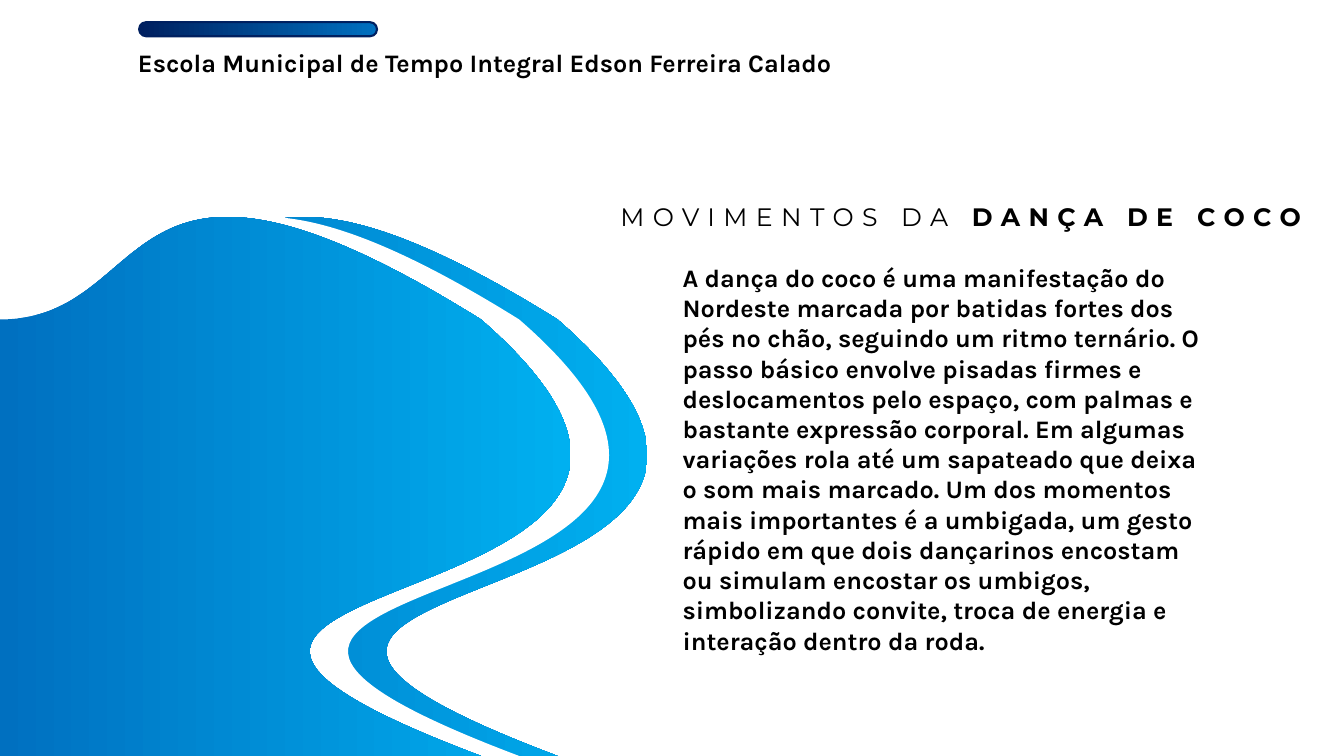
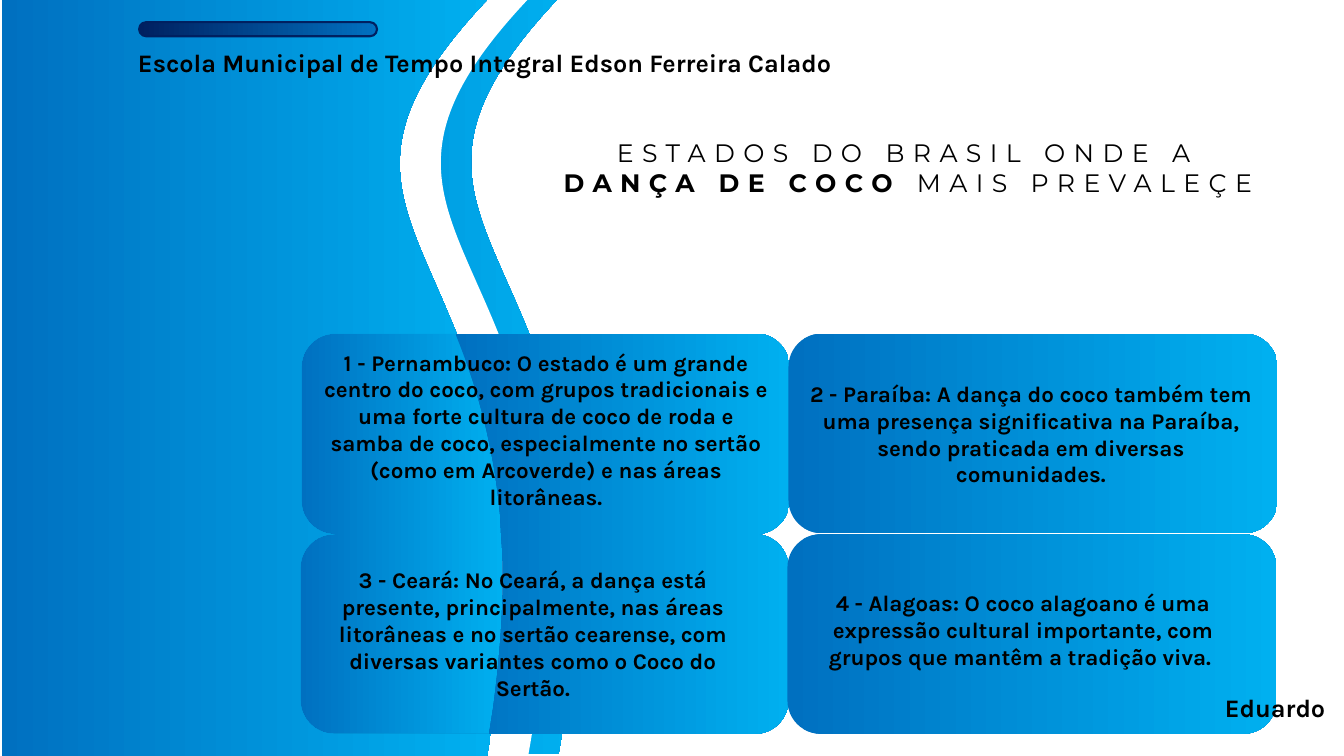
from lxml import etree
from pptx import Presentation
from pptx.dml.color import RGBColor
from pptx.enum.shapes import MSO_SHAPE
from pptx.enum.text import MSO_ANCHOR, MSO_AUTO_SIZE, PP_ALIGN
from pptx.oxml.ns import qn
from pptx.util import Emu, Pt

PX = 9144
W, H = 1333, 750
ROUND_RECT = MSO_SHAPE.ROUNDED_RECTANGLE
LEFT, CENTER = PP_ALIGN.LEFT, PP_ALIGN.CENTER
TOP, NO_FIT = MSO_ANCHOR.TOP, MSO_AUTO_SIZE.NONE

NAVY, BLUE, SKY = "002060", "0070C0", "00B0F0"
WHITE, BLACK = "FFFFFF", "000000"
OCEAN = (BLUE, SKY)

BODY = {"name": "Karla", "size": Pt(18), "bold": True}
CARD = {**BODY, "size": Pt(16)}
TITLE = {"name": "Montserrat", "size": Pt(18), "bold": False}
STRONG = {**TITLE, "bold": True}
SPACING = "600"

HILL = [[(0, 101)],
        [(159, 101), (110, -128), (477, 101)],
        [(837, 414), (-45, 337), (477, 534)],
        [(0, 534)]]
STREAM = [[(0, 0)], [(482, 0)], [(247, 249), (574, 237), (482, 750)], [(0, 750)]]
SHORE = [[(155, 0)], [(155, 1)],
         [(174, 48), (192, 105), (199, 180)],
         [(200, 199)], [(201, 214)],
         [(203, 260), (200, 312), (192, 372)],
         [(188, 397)]]

SCHOOL = "Escola Municipal de Tempo Integral Edson Ferreira Calado"
MOVES = (
    "A dança do coco é uma manifestação do Nordeste marcada por batidas fortes "
    "dos pés no chão, seguindo um ritmo ternário. O passo básico envolve pisadas "
    "firmes e deslocamentos pelo espaço, com palmas e bastante expressão corporal. "
    "Em algumas variações rola até um sapateado que deixa o som mais marcado. Um "
    "dos momentos mais importantes é a umbigada, um gesto rápido em que dois "
    "dançarinos encostam ou simulam encostar os umbigos, simbolizando convite, "
    "troca de energia e interação dentro da roda."
)
STATES = [
    ((14, 10, 461, 199),
     "1 - Pernambuco: O estado é um grande centro do coco, com grupos tradicionais "
     "e uma forte cultura de coco de roda e samba de coco, especialmente no sertão "
     "(como em Arcoverde) e nas áreas litorâneas."),
    ((1, 226, 461, 172),
     "3 - Ceará: No Ceará, a dança está presente, principalmente, nas áreas "
     "litorâneas e no sertão cearense, com diversas variantes como o Coco do Sertão."),
    ((495, 41, 461, 118),
     "2 - Paraíba: A dança do coco também tem uma presença significativa na "
     "Paraíba, sendo praticada em diversas comunidades."),
    ((487, 249, 461, 91),
     "4 - Alagoas: O coco alagoano é uma expressão cultural importante, com grupos "
     "que mantêm a tradição viva. "),
]


def px(n):
    return Emu(n * PX)


def rgb(color):
    return RGBColor.from_string(color)


def paint(sp, fill, line=None):
    sp.shadow.inherit = False
    if isinstance(fill, tuple):
        sp.fill.gradient()
        sp.fill.gradient_angle = 0
        for stop, color in zip(sp.fill.gradient_stops, fill):
            stop.color.rgb = rgb(color)
    else:
        sp.fill.solid()
        sp.fill.fore_color.rgb = rgb(fill)
    if line:
        sp.line.color.rgb = rgb(line)
        sp.line.width = Pt(1.5)
    else:
        sp.line.fill.background()


def round_rect(s, box, fill, line=None):
    sp = s.shapes.add_shape(ROUND_RECT, *map(px, box))
    paint(sp, fill, line)
    return sp


def outline(s, box, segments, fill, inset=0):
    x, y, w, h = box
    builder = s.shapes.build_freeform(0, 0, scale=PX)
    builder.add_line_segments([(w, 0), (w, h), (0, h)], close=True)
    sp = builder.convert_to_shape(px(x), px(y))
    route = sp._element.find(".//" + qn("a:path"))
    for child in list(route):
        route.remove(child)
    for i, points in enumerate(segments):
        tag = "a:cubicBezTo" if len(points) == 3 else "a:lnTo" if i else "a:moveTo"
        step = etree.SubElement(route, qn(tag))
        for a, b in points:
            etree.SubElement(step, qn("a:pt"), x=str(a - inset), y=str(b))
    etree.SubElement(route, qn("a:close"))
    paint(sp, fill)


def rim(x, start, end, side, radius=33, pull=15):
    d = 1 if end > start else -1
    inner, handle = x - side * radius, x - side * pull
    return [
        [(inner, start)],
        [(handle, start), (x, start + d * pull), (x, start + d * radius)],
        [(x, end - d * radius)],
        [(x, end - d * pull), (handle, end), (inner, end)],
    ]


def write(sp, runs, align=LEFT, wrap=True):
    tf = sp.text_frame
    frame = {"word_wrap": wrap, "auto_size": NO_FIT, "vertical_anchor": TOP}
    for key, value in frame.items():
        setattr(tf, key, value)
    p = tf.paragraphs[0]
    p.alignment = align
    for text, style in runs:
        r = p.add_run()
        r.text = text
        for key, value in style.items():
            setattr(r.font, key, value)
        r.font.color.rgb = rgb(BLACK)
    return p


def place(s, sp, box):
    for key, value in zip(("left", "top", "width", "height"), box):
        setattr(sp, key, px(value))
    s.shapes._spTree.append(sp._element)


def text_box(s, box, text, style=BODY, align=LEFT, wrap=True):
    sp = s.shapes.add_textbox(*map(px, box))
    write(sp, [(text, style)], align, wrap)


def title(s, box, runs):
    sp = s.shapes.title
    place(s, sp, box)
    p = write(sp, runs, CENTER)
    for r in p.runs:
        r.font._element.set("spc", SPACING)


def body(s, box, text):
    sp = s.placeholders[1]
    place(s, sp, box)
    pPr = sp.text_frame.paragraphs[0]._p.get_or_add_pPr()
    pPr.set("marL", "0")
    pPr.set("indent", "0")
    etree.SubElement(pPr, qn("a:buNone"))
    p = write(sp, [(text, BODY)])
    p.space_before = Pt(0)


def header(s, box):
    x, y, w, h = box
    text_box(s, (x, y + 20, w, h - 20), SCHOOL)
    pill = round_rect(s, (x + 11, y, 236, 14), (NAVY, BLUE), NAVY)
    pill.adjustments[0] = 0.5


def hill_waves(s, box):
    x, y, w, h = box
    for shift, fill in ((76, OCEAN), (38, WHITE)):
        outline(s, (x + shift, y, w, h), HILL, fill)
    header(s, (127, 22, 888, 60))
    outline(s, box, HILL, OCEAN)


def stream_waves(s, box):
    x, y, w, h = box
    for dx, dy, fill in ((70, -2, OCEAN), (40, -1, WHITE)):
        outline(s, (x + dx, y + dy, w, h), STREAM, fill)


def left_water(s, box):
    segments = [
        [(0, 0)], [(481, 0)],
        [(349, 140), (395, 197), (443, 312)], [(451, 331)],
        *rim(297, 331, 530, -1), *rim(296, 530, 728, -1),
        [(485, 728)], [(481, 750)], [(0, 750)]]
    outline(s, box, segments, OCEAN)


def left_cards(s, box):
    x, y, w, h = box
    for side, rim_x, inset, width in ((-1, 0, 0, 202), (1, 485, 155, 331)):
        segments = SHORE + rim(rim_x, h, 199, side) + rim(rim_x + 1, 199, 0, side)
        outline(s, (x + inset, y, width, h), segments, OCEAN, inset)
        if side < 0:
            left_water(s, (2, 0, 485, H))


def right_cards(s, box):
    x, y, w, h = box
    for dx, dy in ((1, 0), (0, 199)):
        round_rect(s, (x + dx, y + dy, w, h // 2), OCEAN)


def state_texts(s, box):
    x, y = box[:2]
    for (dx, dy, w, h), text in STATES:
        text_box(s, (x + dx, y + dy, w, h), text, CARD, CENTER)


def moves_slide(prs):
    s = prs.slides.add_slide(prs.slide_layouts[1])
    hill_waves(s, (0, 216, 566, 534))
    title(s, (591, 195, 724, 40), [("MOVIMENTOS DA ", TITLE), ("DANÇA DE COCO", STRONG)])
    body(s, (667, 255, 541, 434), MOVES)


def states_slide(prs):
    s = prs.slides.add_slide(prs.slide_layouts[5])
    cards = (297, 331, 970, 397)
    stream_waves(s, (2, 0, 498, H))
    left_cards(s, cards)
    header(s, (127, 22, 888, 60))
    title(s, (540, 131, 721, 71), [
        ("ESTADOS DO BRASIL ONDE A ", TITLE),
        ("DANÇA DE COCO ", STRONG),
        ("MAIS PREVALEÇE", TITLE)])
    right_cards(s, (781, 331, 485, 397))
    state_texts(s, cards)
    text_box(s, (1205, 682, 126, 40), "Eduardo", wrap=False)


def main():
    prs = Presentation()
    prs.slide_width, prs.slide_height = px(W), px(H)
    moves_slide(prs)
    states_slide(prs)
    prs.save("out.pptx")


if __name__ == "__main__":
    main()
